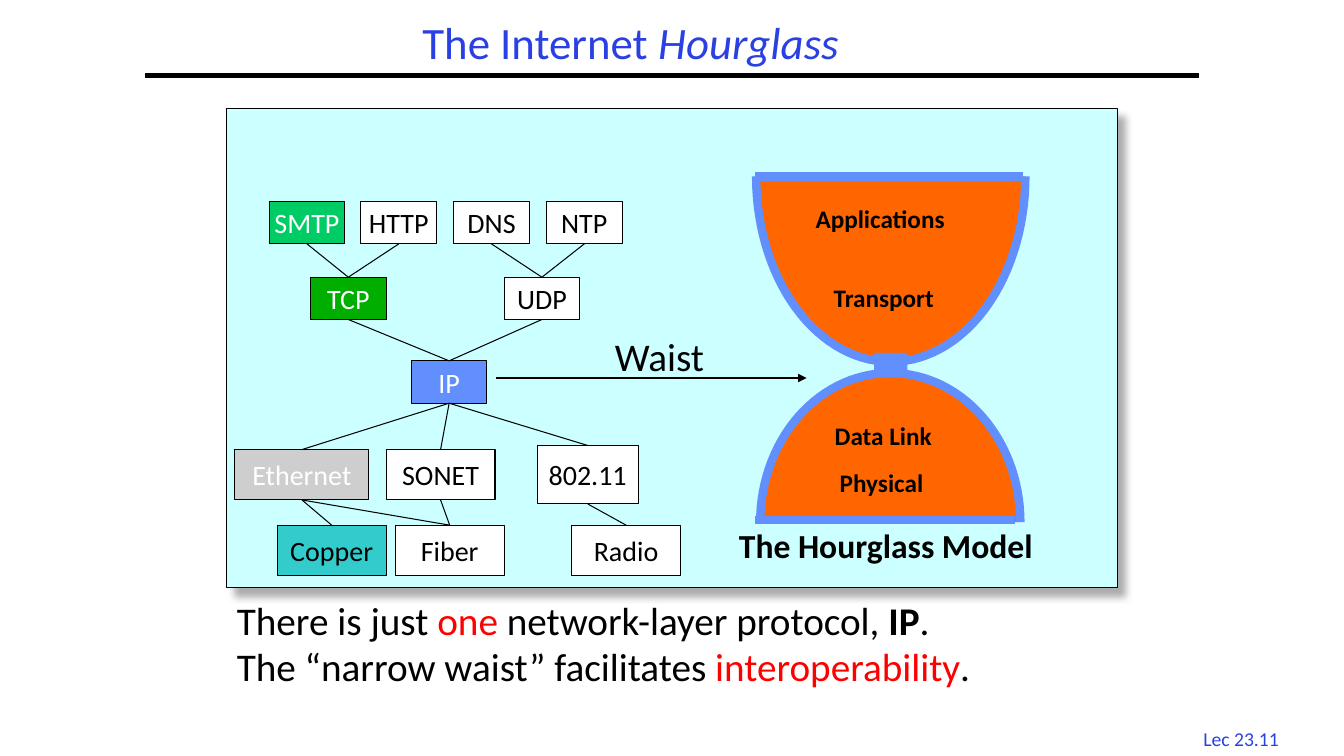
from dataclasses import dataclass
from math import cos, pi, sin

from lxml import etree
from pptx import Presentation
from pptx.dml.color import RGBColor
from pptx.enum.shapes import MSO_CONNECTOR, MSO_SHAPE
from pptx.enum.text import MSO_ANCHOR, MSO_AUTO_SIZE, PP_ALIGN
from pptx.oxml.ns import qn
from pptx.shapes.autoshape import Shape
from pptx.shapes.connector import Connector
from pptx.slide import Slide
from pptx.text.text import _Paragraph
from pptx.util import Emu, Pt

EMU_PER_PX = 9144  # 100 px to the inch
FONT = "Calibri"
RECTANGLE = MSO_SHAPE.RECTANGLE
STRAIGHT = MSO_CONNECTOR.STRAIGHT
CENTER = PP_ALIGN.CENTER
LEFT = PP_ALIGN.LEFT
MIDDLE = MSO_ANCHOR.MIDDLE
FIT_SHAPE = MSO_AUTO_SIZE.SHAPE_TO_FIT_TEXT
NO_FIT = MSO_AUTO_SIZE.NONE
TOP_SIDE, BOTTOM_SIDE = 0, 2

BLACK = RGBColor(0x00, 0x00, 0x00)
WHITE = RGBColor(0xFF, 0xFF, 0xFF)
RED = RGBColor(0xFF, 0x00, 0x00)
TITLE_BLUE = RGBColor(0x2A, 0x40, 0xE2)
PALE_CYAN = RGBColor(0xCC, 0xFF, 0xFF)
ORANGE = RGBColor(0xFF, 0x66, 0x00)
SKY_BLUE = RGBColor(0x61, 0x8F, 0xFD)
MINT = RGBColor(0x00, 0xCC, 0x66)
GREEN = RGBColor(0x00, 0xAE, 0x00)
GRAY = RGBColor(0xCE, 0xCE, 0xCE)
TEAL = RGBColor(0x33, 0xCC, 0xCC)


@dataclass
class Protocol:
    name: str
    left: int
    top: int
    width: int = 75
    height: int = 42
    fill: RGBColor = WHITE
    color: RGBColor = BLACK


@dataclass
class Label:
    text: str
    left: int
    top: int
    width: int
    height: int = 40
    size: int = 18
    bold: bool = True
    color: RGBColor = BLACK
    align: PP_ALIGN = LEFT


@dataclass
class Bulb:
    left: int
    right: int
    flat_y: int
    tip_y: int


@dataclass
class Line:
    start: tuple[int, int]
    end: tuple[int, int]
    width: float
    color: RGBColor


@dataclass
class TextRun:
    text: str
    color: RGBColor = BLACK
    bold: bool = False


PROTOCOLS = [
    Protocol("SMTP", 267, 200, fill=MINT, color=WHITE),
    Protocol("HTTP", 358, 200),
    Protocol("DNS", 450, 200),
    Protocol("NTP", 542, 200),
    Protocol("TCP", 308, 275, fill=GREEN, color=WHITE),
    Protocol("UDP", 500, 275),
    Protocol("IP", 408, 358, fill=SKY_BLUE, color=WHITE),
    Protocol("Ethernet", 233, 446, 133, 50, GRAY, WHITE),
    Protocol("SONET", 383, 446, 108, 50),
    Protocol("802.11", 533, 442, 100, 58),
    Protocol("Copper", 275, 521, 108, 50, TEAL),
    Protocol("Fiber", 392, 521, 108, 50),
    Protocol("Radio", 567, 521, 108, 50),
]
# Upper protocol, then the ones it sits on
LINKS = {
    "SMTP": ["TCP"], "HTTP": ["TCP"], "DNS": ["UDP"], "NTP": ["UDP"],
    "TCP": ["IP"], "UDP": ["IP"], "IP": ["Ethernet", "SONET", "802.11"],
    "Ethernet": ["Copper", "Fiber"], "SONET": ["Fiber"], "802.11": ["Radio"],
}
BULBS = [Bulb(754, 1012, 518, 370), Bulb(750, 1017, 175, 359)]
BULB_RIMS = [
    Line((749, 175), (1015, 175), 6, SKY_BLUE),
    Line((749, 516), (1007, 516), 6, SKY_BLUE),
]
LABELS = [
    Label("Applications", 799, 197, 171),
    Label("Transport", 817, 275, 136),
    Label("Data Link", 818, 412, 134),
    Label("Physical", 823, 459, 122),
    Label("The Hourglass Model", 723, 516, 361, 51, 24),
    Label("Waist", 600, 325, 175, 57, 28, bold=False),
    Label("Lec 23.11", 1177, 716, 108, 33, 14, False, TITLE_BLUE, CENTER),
]
SUMMARY = [
    [TextRun("There is just "), TextRun("one", RED),
     TextRun(" network-layer protocol, "), TextRun("IP", bold=True), TextRun(".")],
    [TextRun("The “narrow waist” facilitates "),
     TextRun("interoperability", RED), TextRun(".")],
]


def px(*lengths: int) -> list[Emu]:
    return [Emu(length * EMU_PER_PX) for length in lengths]


def set_font(paragraph: _Paragraph, size: int, color: RGBColor, bold: bool = False) -> None:
    paragraph.font.name = FONT
    paragraph.font.size = Pt(size)
    paragraph.font.bold = bold
    paragraph.font.color.rgb = color


def add_box(slide: Slide, left: int, top: int, width: int, height: int,
            fill: RGBColor, outlined: bool = True) -> Shape:
    shape = slide.shapes.add_shape(RECTANGLE, *px(left, top, width, height))
    shape.shadow.inherit = False
    shape.fill.solid()
    shape.fill.fore_color.rgb = fill
    if outlined:
        shape.line.color.rgb = BLACK
        shape.line.width = Pt(0.75)
    else:
        shape.line.fill.background()
    return shape


def add_line(slide: Slide, line: Line) -> Connector:
    connector = slide.shapes.add_connector(STRAIGHT, *px(*line.start, *line.end))
    connector.line.color.rgb = line.color
    connector.line.width = Pt(line.width)
    etree.SubElement(connector._element.spPr, qn("a:effectLst"))
    return connector


def add_panel(slide: Slide) -> None:
    panel = add_box(slide, 225, 108, 883, 475, PALE_CYAN)
    effects = panel._element.spPr.find(qn("a:effectLst"))
    shadow = etree.SubElement(effects, qn("a:outerShdw"), blurRad=str(Pt(5)),
                              dist=str(Pt(8.5)), dir="2700000", rotWithShape="0")
    color = etree.SubElement(shadow, qn("a:srgbClr"), val="919191")
    etree.SubElement(color, qn("a:alpha"), val="75000")


def add_bulb(slide: Slide, bulb: Bulb, steps: int = 60) -> None:
    """Half an ellipse, left open along its flat side."""
    center, radius = (bulb.left + bulb.right) / 2, (bulb.right - bulb.left) / 2
    depth = bulb.tip_y - bulb.flat_y
    points = [
        (round((center - radius * cos(pi * step / steps)) * EMU_PER_PX),
         round((bulb.flat_y + depth * sin(pi * step / steps)) * EMU_PER_PX))
        for step in range(steps + 1)
    ]
    builder = slide.shapes.build_freeform(*points[0], scale=1.0)
    builder.add_line_segments(points[1:], close=False)
    shape = builder.convert_to_shape()
    shape.shadow.inherit = False
    shape.fill.solid()
    shape.fill.fore_color.rgb = ORANGE
    shape.line.color.rgb = SKY_BLUE
    shape.line.width = Pt(6)


def add_protocol(slide: Slide, protocol: Protocol) -> Shape:
    shape = add_box(slide, protocol.left, protocol.top, protocol.width,
                    protocol.height, protocol.fill)
    shape.text_frame.word_wrap = False
    shape.text_frame.vertical_anchor = MIDDLE
    paragraph = shape.text_frame.paragraphs[0]
    paragraph.text = protocol.name
    paragraph.alignment = CENTER
    set_font(paragraph, 20, protocol.color)
    return shape


def add_label(slide: Slide, label: Label) -> None:
    box = slide.shapes.add_textbox(*px(label.left, label.top, label.width, label.height))
    box.text_frame.word_wrap = False
    box.text_frame.auto_size = FIT_SHAPE
    paragraph = box.text_frame.paragraphs[0]
    paragraph.text = label.text
    paragraph.alignment = label.align
    set_font(paragraph, label.size, label.color, label.bold)


def add_summary(slide: Slide) -> None:
    frame = slide.shapes.add_textbox(*px(225, 587, 842, 100)).text_frame
    frame.word_wrap = True
    frame.auto_size = FIT_SHAPE
    for index, text_runs in enumerate(SUMMARY):
        paragraph = frame.add_paragraph() if index else frame.paragraphs[0]
        if index:
            paragraph.line_spacing = 0.4
            paragraph.space_before = Pt(16)
        set_font(paragraph, 28, BLACK)
        for text_run in text_runs:
            run = paragraph.add_run()
            run.text = text_run.text
            run.font.bold = text_run.bold
            run.font.color.rgb = text_run.color


def set_title(slide: Slide) -> None:
    title = slide.shapes.title
    title.left, title.top, title.width, title.height = px(218, 7, 815, 76)
    title.text_frame.auto_size = NO_FIT
    title.text_frame.vertical_anchor = MIDDLE
    paragraph = title.text_frame.paragraphs[0]
    paragraph.alignment = CENTER
    paragraph.line_spacing = 0.9
    set_font(paragraph, 32, TITLE_BLUE)
    paragraph.add_run().text = "The Internet "
    emphasis = paragraph.add_run()
    emphasis.text = "Hourglass"
    emphasis.font.italic = True


def main() -> None:
    presentation = Presentation()
    presentation.slide_width, presentation.slide_height = px(1333, 750)
    slide = presentation.slides.add_slide(presentation.slide_layouts[5])

    # Title, rule and panel
    set_title(slide)
    add_line(slide, Line((144, 75), (1189, 75), 3, BLACK))
    add_panel(slide)

    # Hourglass
    for bulb in BULBS:
        add_bulb(slide, bulb)
    for rim in BULB_RIMS:
        add_line(slide, rim)
    add_box(slide, 867, 350, 33, 24, SKY_BLUE, outlined=False)

    # Arrow to the waist
    arrow = add_line(slide, Line((492, 375), (800, 375), 2, BLACK))
    etree.SubElement(arrow.line._get_or_add_ln(), qn("a:tailEnd"), type="triangle")

    # Protocol graph
    boxes = {protocol.name: add_protocol(slide, protocol) for protocol in PROTOCOLS}
    for upper, lowers in LINKS.items():
        for lower in lowers:
            link = add_line(slide, Line((0, 0), (0, 0), 0.75, BLACK))
            link.begin_connect(boxes[upper], BOTTOM_SIDE)
            link.end_connect(boxes[lower], TOP_SIDE)

    # Texts
    for label in LABELS:
        add_label(slide, label)
    add_summary(slide)
    presentation.save("out.pptx")


if __name__ == "__main__":
    main()
